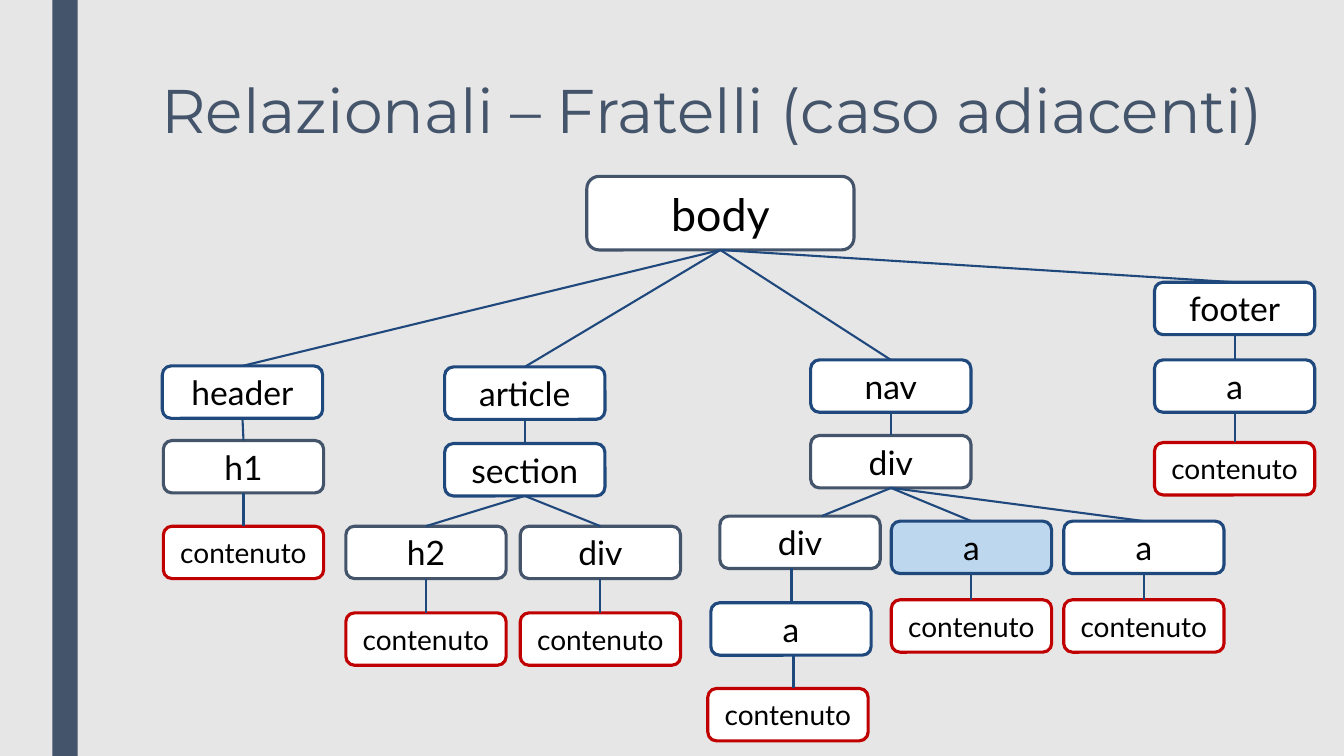
from dataclasses import dataclass

from lxml import etree
from pptx import Presentation
from pptx import util as u
from pptx.dml import color
from pptx.enum import shapes, text
from pptx.oxml import ns


@dataclass(frozen=True)
class Theme:
    back: str = "E7E6E6"
    slate: str = "44546A"
    blue: str = "1F497D"
    red: str = "C00000"
    white: str = "FFFFFF"
    mark: str = "BDD7EE"
    ink: str = "000000"
    head: str = "Montserrat"
    font: str = "Lato"
    title: int = 44
    root: int = 32
    tag: int = 24
    leaf: int = 20
    edge: float = 2.25
    link: float = 1.5


@dataclass
class Node:
    tag: str
    left: float
    top: float
    kids: tuple = ()
    loose: tuple = ()
    mark: bool = False


THEME = Theme()
WIDE, HIGH = 1.59, 0.52
ROOT_WIDE, ROOT_HIGH = 2.65, 0.73
LEAF = "contenuto"
SLATE_TAGS = {"body", "h1", "h2", "div"}


HEADER = Node("header", 0.01, 1.88, (
    Node("h1", 0.02, 2.62, (Node(LEAF, 0.02, 3.47),)),))
ARTICLE = Node("article", 2.81, 1.89, (
    Node("section", 2.81, 2.65, (
        Node("h2", 1.83, 3.47, (Node(LEAF, 1.83, 4.33),)),
        Node("div", 3.56, 3.47, (Node(LEAF, 3.56, 4.33),)))),))
INNER = Node("div", 5.54, 3.37, (
    Node("a", 5.45, 4.23, (
        Node(LEAF, 5.42, 5.08, loose=(6.27, 4.75, 6.27, 5.08)),),
        loose=(6.25, 3.89, 6.25, 4.23)),),
    loose=(7.24, 3.09, 6.55, 3.37))
NAV = Node("nav", 6.44, 1.82, (
    Node("div", 6.44, 2.57, (
        INNER,
        Node("a", 7.24, 3.42, (Node(LEAF, 7.24, 4.2),), mark=True),
        Node("a", 8.95, 3.42, (Node(LEAF, 8.95, 4.2),)))),))
FOOTER = Node("footer", 9.85, 1.05, (
    Node("a", 9.85, 1.82, (Node(LEAF, 9.85, 2.64),)),))
BODY = Node("body", 4.22, 0, (HEADER, ARTICLE, NAV, FOOTER))


def rgb(code):
    return color.RGBColor.from_string(code)


def write(para, words, font, size, ink):
    run = para.add_run()
    run.text = words
    run.font.name = font
    run.font.size = u.Pt(size)
    run.font.color.rgb = rgb(ink)


def draw_bar(slide, left, top, wide, high):
    bar = slide.shapes.add_shape(
        shapes.MSO_SHAPE.RECTANGLE, *map(u.Inches, (left, top, wide, high)))
    bar.shadow.inherit = False
    bar.fill.solid()
    bar.fill.fore_color.rgb = rgb(THEME.slate)
    bar.line.fill.background()


def draw_title(slide, left, top, wide, high):
    title = slide.shapes.title
    title.left, title.top, title.width, title.height = map(
        u.Inches, (left, top, wide, high))
    frame = title.text_frame
    frame.word_wrap = True
    frame.auto_size = text.MSO_AUTO_SIZE.NONE
    frame.vertical_anchor = text.MSO_ANCHOR.TOP
    para = frame.paragraphs[0]
    para.alignment = text.PP_ALIGN.LEFT
    para.line_spacing = 0.89
    write(para, "Relazionali – Fratelli (caso adiacenti)",
          THEME.head, THEME.title, THEME.slate)


def draw_box(slide, node, left, top):
    wide, high, size, edge = WIDE, HIGH, THEME.tag, THEME.blue
    if node.tag in SLATE_TAGS:
        edge = THEME.slate
    if node.tag == LEAF:
        size, edge = THEME.leaf, THEME.red
    if node is BODY:
        wide, high, size = ROOT_WIDE, ROOT_HIGH, THEME.root
    box = slide.shapes.add_shape(
        shapes.MSO_SHAPE.ROUNDED_RECTANGLE,
        *map(u.Inches, (left + node.left, top + node.top, wide, high)))
    box.shadow.inherit = False
    box.fill.solid()
    box.fill.fore_color.rgb = rgb(THEME.mark if node.mark else THEME.white)
    box.line.color.rgb = rgb(edge)
    box.line.width = u.Pt(THEME.edge)
    frame = box.text_frame
    frame.word_wrap = True
    frame.vertical_anchor = text.MSO_ANCHOR.MIDDLE
    para = frame.paragraphs[0]
    para.alignment = text.PP_ALIGN.CENTER
    write(para, node.tag, THEME.font, size, THEME.ink)
    return box


def draw_link(slide, upper, lower, node, left, top):
    ends = (0, 0, 0, 0)
    if node.loose:
        x1, y1, x2, y2 = node.loose
        ends = map(u.Inches, (left + x1, top + y1, left + x2, top + y2))
    link = slide.shapes.add_connector(shapes.MSO_CONNECTOR.STRAIGHT, *ends)
    if not node.loose:
        link.begin_connect(upper, 2)
        link.end_connect(lower, 0)
    link.line.color.rgb = rgb(THEME.blue)
    link.line.width = u.Pt(THEME.link)
    etree.SubElement(link._element.spPr, ns.qn("a:effectLst"))


def draw_tree(slide, node, left, top):
    box = draw_box(slide, node, left, top)
    for kid in node.kids:
        lower = draw_tree(slide, kid, left, top)
        draw_link(slide, box, lower, kid, left, top)
    return box


def main():
    deck = Presentation()
    deck.slide_width, deck.slide_height = u.Inches(13.33), u.Inches(7.5)
    slide = deck.slides.add_slide(deck.slide_layouts.get_by_name("Title Only"))
    slide.background.fill.solid()
    slide.background.fill.fore_color.rgb = rgb(THEME.back)
    draw_bar(slide, 0.52, 0, 0.25, 7.5)
    draw_title(slide, 1.5, 0.75, 11.23, 1.62)
    draw_tree(slide, BODY, 1.6, 1.75)
    deck.save("out.pptx")


if __name__ == "__main__":
    main()
